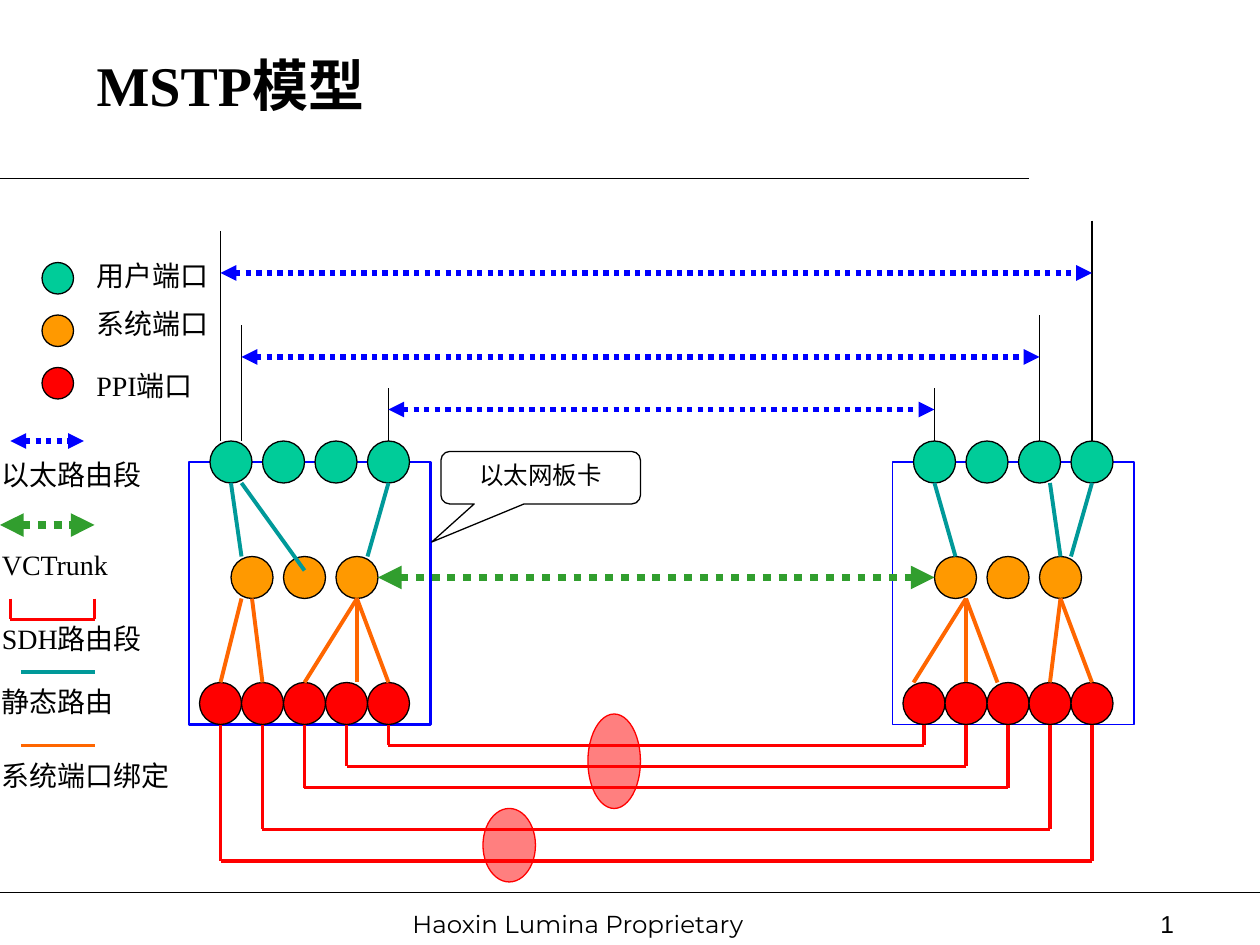
from typing import NamedTuple, Optional

from lxml.etree import SubElement
from pptx import Presentation
from pptx.dml.color import RGBColor
from pptx.enum.dml import MSO_LINE
from pptx.enum.shapes import MSO_CONNECTOR, MSO_SHAPE
from pptx.enum.text import MSO_ANCHOR, MSO_AUTO_SIZE, PP_ALIGN
from pptx.oxml.ns import qn
from pptx.util import Pt

BLACK = RGBColor(0x00, 0x00, 0x00)
BLUE = RGBColor(0x00, 0x00, 0xFF)
GREEN = RGBColor(0x31, 0x9E, 0x2E)
JADE = RGBColor(0x00, 0xCC, 0x99)
TEAL = RGBColor(0x00, 0x99, 0x99)
AMBER = RGBColor(0xFF, 0x99, 0x00)
ORANGE = RGBColor(0xFF, 0x66, 0x00)
RED = RGBColor(0xFF, 0x00, 0x00)
SERIF = "Times New Roman"

# Vertical levels of the two Ethernet boards
USER_TOP, SYSTEM_TOP, PPI_TOP = 252, 318, 390
PORT_SIZE = 24
USER_BOTTOM, SYSTEM_BOTTOM, PPI_BOTTOM = (
    top + PORT_SIZE for top in (USER_TOP, SYSTEM_TOP, PPI_TOP))


class Stroke(NamedTuple):
    color: RGBColor
    width: float = 2.25
    arrows: bool = False


THIN = Stroke(BLACK, 0.75)
STATIC_ROUTE = Stroke(TEAL)
BINDING = Stroke(ORANGE)
SDH = Stroke(RED)
ETHERNET = Stroke(BLUE, 3, True)
VC_TRUNK = Stroke(GREEN, 4.5, True)


class PortRow(NamedTuple):
    top: float
    color: RGBColor
    count: int
    pitch: float
    offset: float  # from the left edge of the board


PORT_ROWS = [PortRow(USER_TOP, JADE, 4, 30, 12),
             PortRow(SYSTEM_TOP, AMBER, 3, 30, 24),
             PortRow(PPI_TOP, RED, 5, 24, 6)]


class Board(NamedTuple):
    left: float
    border: float
    routes: list    # user port x, system port x, end y
    bindings: list  # system port x, PPI port x


BOARDS = [
    Board(108, 1.5,
          [(222, 210, 318), (132, 138, 318), (138, 174, 326)],
          [(204, 174), (204, 204), (204, 222), (138, 126), (144, 150)]),
    Board(510, 0.75,
          [(624, 612, 318), (534, 546, 318), (600, 606, 318)],
          [(552, 522), (552, 552), (552, 570), (606, 600), (606, 624)]),
]


def draw_line(page, x1: float, y1: float, x2: float, y2: float, stroke: Stroke) -> None:
    connector = page.shapes.add_connector(
        MSO_CONNECTOR.STRAIGHT, Pt(x1), Pt(y1), Pt(x2), Pt(y2))
    line = connector.line
    line.color.rgb = stroke.color
    line.width = Pt(stroke.width)
    properties = connector._element.spPr
    if stroke.arrows:
        line.dash_style = MSO_LINE.ROUND_DOT
        for end in ("a:headEnd", "a:tailEnd"):
            SubElement(properties.find(qn("a:ln")), qn(end), type="triangle")
    SubElement(properties, qn("a:effectLst"))


def draw_bracket(page, left: float, right: float, top: float, bottom: float) -> None:
    for x in (left, right):
        draw_line(page, x, top, x, bottom, SDH)
    draw_line(page, left, bottom, right, bottom, SDH)


def draw_shape(page, kind, left: float, top: float, width: float, height: float,
               fill: Optional[RGBColor] = None, stroke: Stroke = THIN):
    shape = page.shapes.add_shape(kind, Pt(left), Pt(top), Pt(width), Pt(height))
    shape.shadow.inherit = False
    if fill is None:
        shape.fill.background()
    else:
        shape.fill.solid()
        shape.fill.fore_color.rgb = fill
    shape.line.color.rgb = stroke.color
    shape.line.width = Pt(stroke.width)
    return shape


def draw_port(page, left: float, top: float, color: RGBColor, size: float = PORT_SIZE) -> None:
    draw_shape(page, MSO_SHAPE.OVAL, left, top, size, size, color)


def write(frame, text: str, size: float, font: str = SERIF,
          align=PP_ALIGN.LEFT, anchor=MSO_ANCHOR.TOP) -> None:
    frame.word_wrap = True
    frame.auto_size = MSO_AUTO_SIZE.NONE
    frame.vertical_anchor = anchor
    frame.text = text
    para = frame.paragraphs[0]
    para.alignment = align
    para.font.size = Pt(size)
    para.font.name = font
    para.font.color.rgb = BLACK


def draw_text(page, left: float, top: float, width: float, height: float,
              text: str, size: float = 16, font: str = SERIF, align=PP_ALIGN.LEFT):
    box = page.shapes.add_textbox(Pt(left), Pt(top), Pt(width), Pt(height))
    write(box.text_frame, text, size, font, align)
    return box


def draw_frame(page) -> None:
    title = page.shapes.title
    title.left, title.top, title.width, title.height = Pt(48), Pt(30), Pt(618), Pt(36)
    write(title.text_frame, "MSTP模型", 32, anchor=MSO_ANCHOR.MIDDLE)
    title.text_frame.paragraphs[0].font.bold = True
    draw_line(page, 0, 102, 588, 102, THIN)
    draw_line(page, 0, 510, 720, 510, THIN)
    footer = draw_text(page, 204, 516, 246, 24, "Haoxin Lumina Proprietary", 14, "Montserrat")
    footer.text_frame.margin_left = Pt(31.7)
    draw_text(page, 528, 516, 150, 24, "1", 14, "Arial", PP_ALIGN.RIGHT)


def draw_board(page, board: Board) -> None:
    draw_shape(page, MSO_SHAPE.RECTANGLE, board.left, 264, 138, 150,
               stroke=Stroke(BLUE, board.border))
    for row in PORT_ROWS:
        for index in range(row.count):
            draw_port(page, board.left + row.offset + index * row.pitch, row.top, row.color)
    for user_x, system_x, end_y in board.routes:
        draw_line(page, user_x, USER_BOTTOM, system_x, end_y, STATIC_ROUTE)
    for system_x, ppi_x in board.bindings:
        draw_line(page, system_x, SYSTEM_BOTTOM, ppi_x, PPI_TOP, BINDING)


def draw_links(page) -> None:
    # SDH route sections between PPI ports
    for left, right, bottom in [(222, 528, 426), (198, 552, 438), (174, 576, 450),
                                (150, 600, 474), (126, 624, 492)]:
        draw_bracket(page, left, right, PPI_BOTTOM, bottom)
    # Ethernet route sections with their guide lines
    for left, right, y, left_top, right_top in [(222, 534, 234, 222, 222),
                                                (138, 594, 204, 186, 180),
                                                (126, 624, 156, 132, 126)]:
        draw_line(page, left, left_top, left, USER_TOP, THIN)
        draw_line(page, right, right_top, right, USER_TOP, THIN)
        draw_line(page, left, y, right, y, ETHERNET)
    draw_line(page, 216, 330, 534, 330, VC_TRUNK)
    # Translucent ovals that group the SDH sections
    for left, top, height in [(336, 408, 54), (276, 462, 42)]:
        oval = draw_shape(page, MSO_SHAPE.OVAL, left, top, 30, height, RED, Stroke(RED, 0.75))
        color = oval._element.spPr.find(qn("a:solidFill")).find(qn("a:srgbClr"))
        SubElement(color, qn("a:alpha"), val="50000")


def draw_legend(page) -> None:
    ports = [("用户端口", 144, JADE), ("系统端口", 171.4, AMBER), ("PPI端口", 207, RED)]
    for index, (label, top, color) in enumerate(ports):
        draw_port(page, 24, 150 + 30 * index, color, 18)
        draw_text(page, 48, top, 132, 27, label)
    for left, right, y, stroke in [(6, 48, 252, ETHERNET), (0, 54, 300, VC_TRUNK),
                                   (12, 54, 384, STATIC_ROUTE), (12, 54, 426, BINDING)]:
        draw_line(page, left, y, right, y, stroke)
    draw_bracket(page, 6, 54, 342, 354)
    for label, top in [("以太路由段", 258), ("VCTrunk", 309.6), ("SDH路由段", 351.6),
                       ("静态路由", 387.6), ("系统端口绑定", 429.8)]:
        draw_text(page, -6, top, 132, 27, label)


def draw_callout(page) -> None:
    callout = draw_shape(page, MSO_SHAPE.ROUNDED_RECTANGULAR_CALLOUT, 252, 258, 114, 30)
    for index, value in enumerate((-0.546, 1.225, 0.167)):
        callout.adjustments[index] = value
    write(callout.text_frame, "以太网板卡", 14, align=PP_ALIGN.CENTER)


def main() -> None:
    deck = Presentation()
    deck.slide_width, deck.slide_height = Pt(720), Pt(540)
    page = deck.slides.add_slide(deck.slide_layouts[5])
    draw_frame(page)
    for board in BOARDS:
        draw_board(page, board)
    draw_links(page)
    draw_legend(page)
    draw_callout(page)
    deck.save("out.pptx")


if __name__ == "__main__":
    main()
